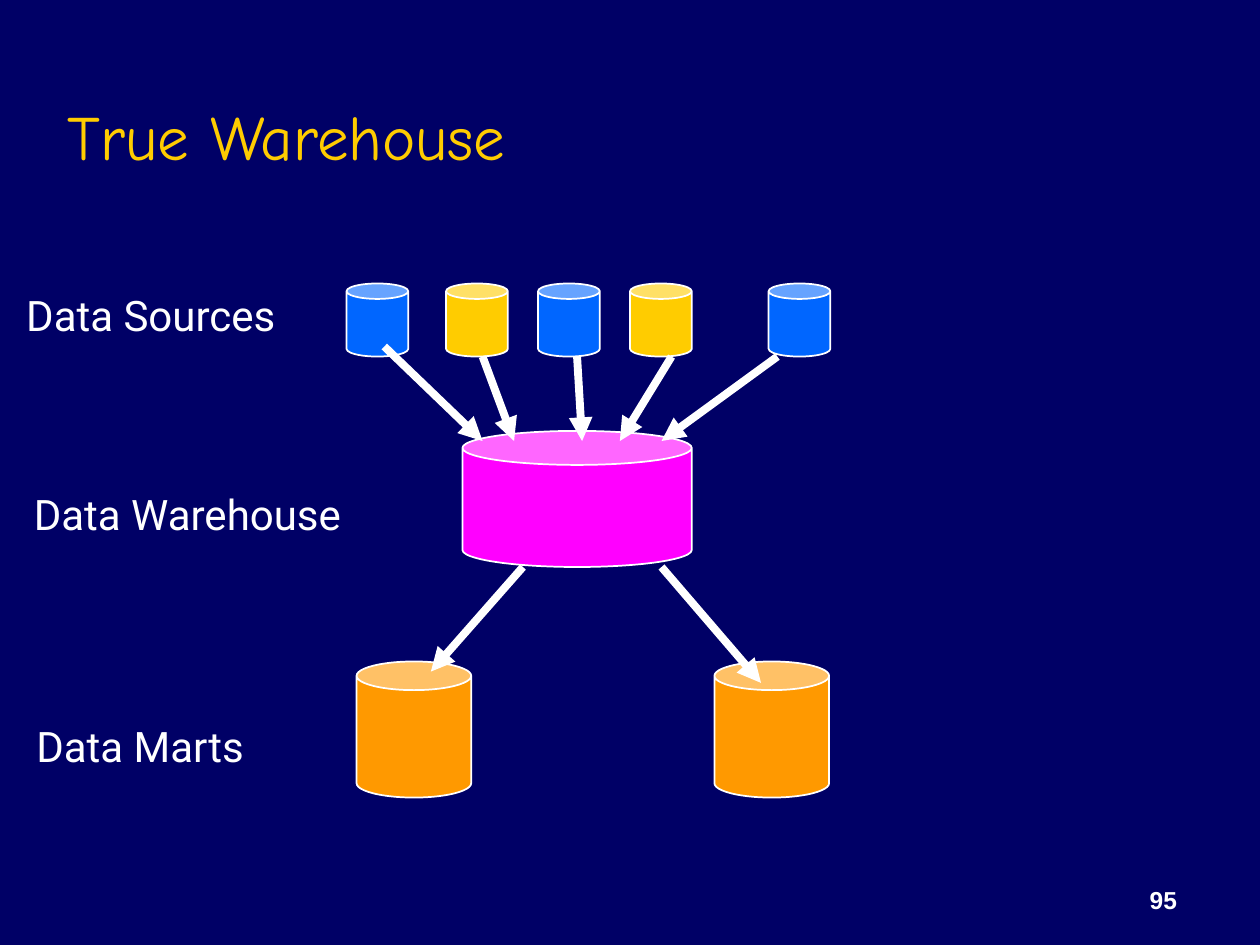
from lxml.etree import SubElement
from pptx import Presentation
from pptx.dml.color import RGBColor
from pptx.enum.shapes import MSO_CONNECTOR as Connector, MSO_SHAPE as Shape
from pptx.enum.text import MSO_ANCHOR as Anchor, MSO_AUTO_SIZE as AutoSize, PP_ALIGN as Align
from pptx.oxml.ns import qn
from pptx.util import Inches, Pt

THEME = {
    "background": "000066", "text": "FFFFFF", "outline": "FFFFFF",
    "blue": "0066FF", "gold": "FFCC00", "magenta": "FF00FF", "orange": "FF9900",
    "title_font": "Comic Neue", "label_font": "Roboto", "number_font": "Arial",
    "title_size": 36, "label_size": 24, "number_size": 14,
    "outline_width": 1, "arrow_width": 4.5,
}

TITLE = ("True Warehouse", (0.44, 0.25, 8.5, 1.17))
PAGE_NUMBER = ("95", (7.36, 6.81, 2.08, 0.5))
LABELS = [
    ("Data Sources", (0.11, 2.25, 2.26, 0.5)),
    ("Data Warehouse", (0.17, 3.83, 2.81, 0.5)),
    ("Data Marts", (0.19, 5.67, 1.93, 0.5)),
]
TIERS = [
    {"top": 2.25, "size": (0.49, 0.58),
     "stores": [(2.75, "blue"), (3.54, "gold"), (4.27, "blue"), (5, "gold"), (6.1, "blue")]},
    {"top": 5.25, "size": (0.91, 1.08), "stores": [(2.83, "orange"), (5.67, "orange")]},
    {"top": 3.42, "size": (1.82, 1.08), "stores": [(3.67, "magenta")]},
]
FLOWS = [
    ((3.05, 2.75), (3.83, 3.5)),
    ((3.83, 2.83), (4.08, 3.5)),
    ((4.58, 2.83), (4.62, 3.5)),
    ((5.33, 2.83), (4.92, 3.5)),
    ((6.17, 2.83), (5.25, 3.5)),
    ((4.15, 4.5), (3.42, 5.33)),
    ((5.25, 4.5), (6.04, 5.42)),
]


def color(name):
    """Return the theme colour with this name."""
    return RGBColor.from_string(THEME[name])


def add_text(slide, text, place, *, role, ink="text", bold=False,
             align=Align.LEFT, anchor=Anchor.TOP, wrap=True):
    """Add a text box in the font and size of its role."""
    box = slide.shapes.add_textbox(*map(Inches, place))
    frame = box.text_frame
    frame.word_wrap = wrap
    frame.auto_size = AutoSize.NONE if wrap else AutoSize.SHAPE_TO_FIT_TEXT
    frame.vertical_anchor = anchor
    paragraph = frame.paragraphs[0]
    paragraph.alignment = align
    run = paragraph.add_run()
    run.text = text
    run.font.name = THEME[f"{role}_font"]
    run.font.size = Pt(THEME[f"{role}_size"])
    run.font.bold = bold
    run.font.color.rgb = color(ink)


def add_store(slide, place, fill):
    """Add one outlined data store."""
    store = slide.shapes.add_shape(Shape.CAN, *map(Inches, place))
    store.adjustments[0] = 0.25
    store.shadow.inherit = False
    store.fill.solid()
    store.fill.fore_color.rgb = color(fill)
    store.line.color.rgb = color("outline")
    store.line.width = Pt(THEME["outline_width"])


def add_flow(slide, start, end):
    """Add one arrow from a store to the next tier."""
    flow = slide.shapes.add_connector(Connector.STRAIGHT, *map(Inches, start + end))
    flow.line.color.rgb = color("outline")
    flow.line.width = Pt(THEME["arrow_width"])
    SubElement(flow.line._get_or_add_ln(), qn("a:tailEnd"), type="triangle")
    SubElement(flow._element.spPr, qn("a:effectLst"))


def main():
    """Build and save the slide."""
    deck = Presentation()
    deck.slide_width, deck.slide_height = Inches(10), Inches(7.5)
    slide = deck.slides.add_slide(deck.slide_layouts[6])
    slide.background.fill.solid()
    slide.background.fill.fore_color.rgb = color("background")

    add_text(slide, *TITLE, role="title", ink="gold", anchor=Anchor.BOTTOM)
    for tier in TIERS:
        for left, fill in tier["stores"]:
            add_store(slide, (left, tier["top"], *tier["size"]), fill)
    for start, end in FLOWS:
        add_flow(slide, start, end)
    for text, place in LABELS:
        add_text(slide, text, place, role="label", wrap=False)
    add_text(slide, *PAGE_NUMBER, role="number", bold=True,
             align=Align.RIGHT, anchor=Anchor.BOTTOM)
    deck.save("out.pptx")


if __name__ == "__main__":
    main()
